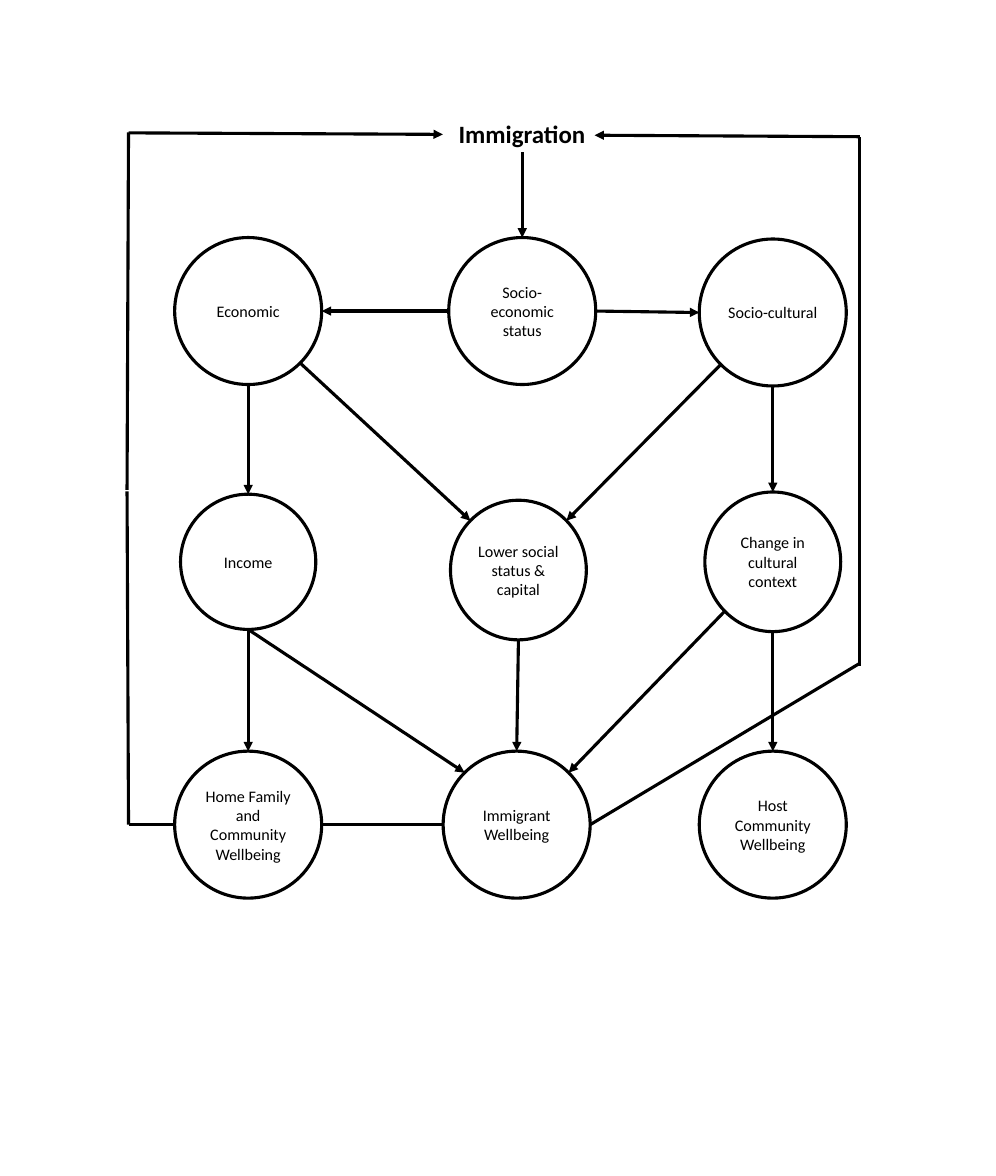
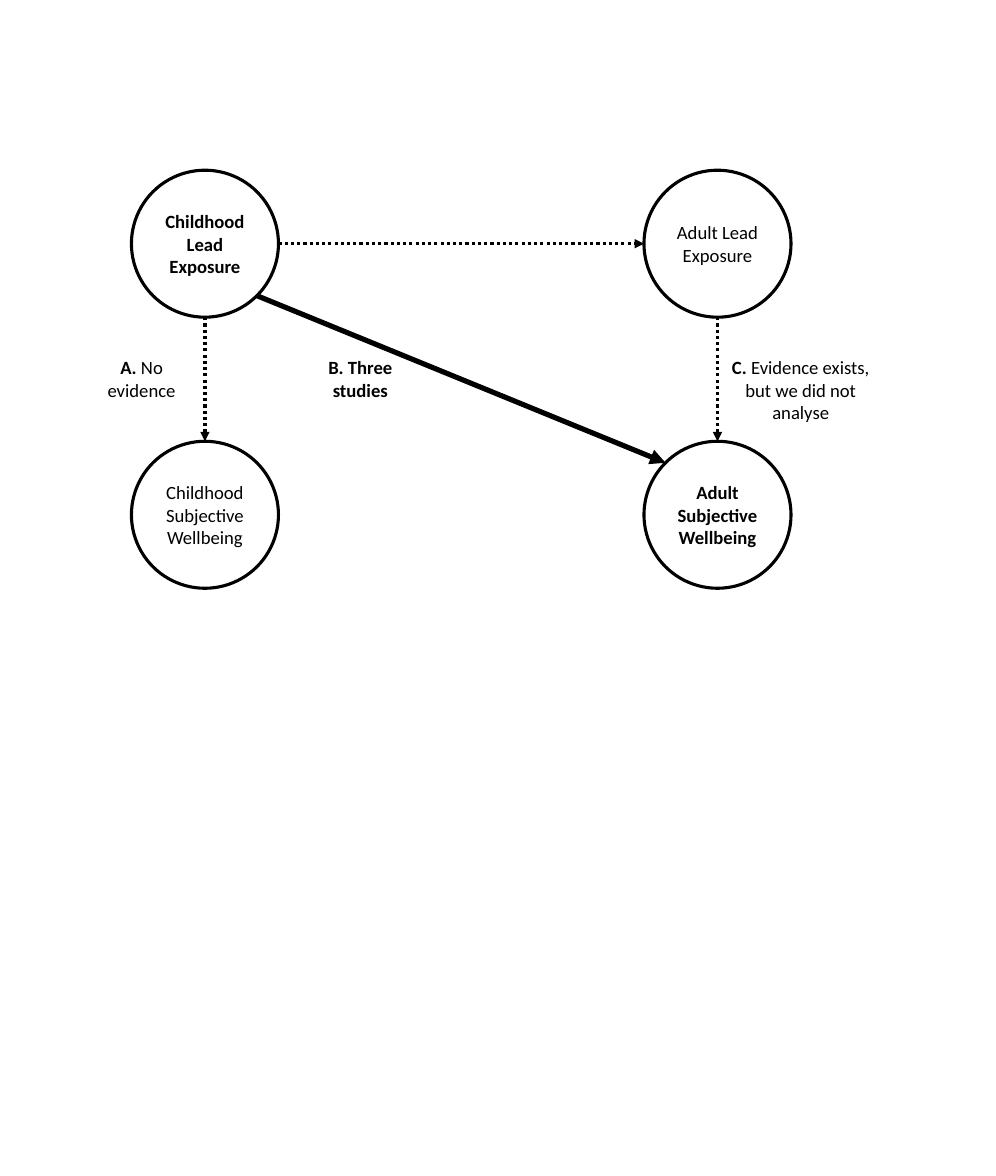
from dataclasses import dataclass
from math import sqrt

from lxml import etree
from pptx import Presentation
from pptx.dml.color import RGBColor
from pptx.enum import dml, shapes, text
from pptx.oxml.ns import qn
from pptx.util import Cm, Pt


@dataclass(frozen=True)
class Theme:
    """Colours, font and sizes that both slides share."""
    ink: RGBColor = RGBColor(0, 0, 0)
    paper: RGBColor = RGBColor(255, 255, 255)
    font: str = "Calibri"
    title: float = 24
    body: float = 18
    small: float = 15.5
    line: float = 3
    heavy: float = 5


T = Theme()
BIG, MID = (5, 5), (4.62, 4.75)
DIAG = sqrt(0.5)
SIDES = {"n": (0, -1), "s": (0, 1), "w": (-1, 0), "e": (1, 0),
         "nw": (-DIAG, -DIAG), "ne": (DIAG, -DIAG),
         "sw": (-DIAG, DIAG), "se": (DIAG, DIAG)}


def add_text(sp, words, size=T.body, bold=False, lead="", anchor=text.MSO_ANCHOR.TOP):
    """Fill a shape with centred text, after an optional bold lead-in."""
    tf = sp.text_frame
    tf.word_wrap = True
    tf.vertical_anchor = anchor
    for i, part in enumerate(words.split("\n")):
        p = tf.add_paragraph() if i else tf.paragraphs[0]
        p.alignment = text.PP_ALIGN.CENTER
        for run_text, is_bold in ((lead if i == 0 else "", True), (part, bold)):
            if run_text:
                r = p.add_run()
                r.text = run_text
                r.font.name, r.font.size = T.font, Pt(size)
                r.font.bold = is_bold
                r.font.color.rgb = T.ink


def add_line(s, start, end, arrow=True, dotted=False, width=T.line):
    """Draw a straight line between two points in centimetres."""
    c = s.shapes.add_connector(shapes.MSO_CONNECTOR.STRAIGHT,
                               *[Cm(v) for v in (*start, *end)])
    c.line.color.rgb = T.ink
    c.line.width = Pt(width)
    if dotted:
        c.line.dash_style = dml.MSO_LINE.ROUND_DOT
    if arrow:
        etree.SubElement(c.line._ln, qn("a:tailEnd"), type="triangle")
    etree.SubElement(c._element.spPr, qn("a:effectLst"))


# Circles: name -> (centre x, centre y, size, text, bold)
immigration_circles = {
    "economic": (8.44, 10.58, BIG, "Economic", False),
    "status": (17.76, 10.58, BIG, "Socio-economic status", False),
    "cultural": (26.28, 10.63, BIG, "Socio-cultural", False),
    "income": (8.44, 19.11, (4.6, 4.6), "Income", False),
    "capital": (17.63, 19.39, MID, "Lower social status & capital", False),
    "context": (26.28, 19.11, MID, "Change in cultural context", False),
    "home": (8.44, 28.05, BIG, "Home Family and Community Wellbeing", False),
    "immigrant": (17.57, 28.05, BIG, "Immigrant Wellbeing", False),
    "host": (26.28, 28.05, BIG, "Host Community Wellbeing", False),
}
lead_circles = {
    "child lead": (6.97, 8.29, BIG, "Childhood Lead Exposure", True),
    "adult lead": (24.4, 8.29, BIG, "Adult Lead Exposure", False),
    "child mood": (6.97, 17.51, BIG, "Childhood Subjective\nWellbeing", False),
    "adult mood": (24.4, 17.51, BIG, "Adult Subjective\nWellbeing", True),
}

# Lines: start, end, format; an end is a point or a (circle, side) pair
plain, dots = {"arrow": False}, {"dotted": True}
immigration_lines = [
    ((17.76, 5.18), ("status", "n"), {}),
    (("status", "w"), ("economic", "e"), {}),
    (("status", "e"), ("cultural", "w"), {}),
    (("economic", "s"), ("income", "n"), {}),
    (("economic", "se"), ("capital", "nw"), {}),
    (("cultural", "sw"), ("capital", "ne"), {}),
    (("cultural", "s"), ("context", "n"), {}),
    (("income", "s"), ("home", "n"), {}),
    (("income", "s"), ("immigrant", "nw"), {}),
    (("capital", "s"), ("immigrant", "n"), {}),
    (("context", "sw"), ("immigrant", "ne"), {}),
    (("context", "s"), ("host", "n"), {}),
    ((4.37, 28.05), ("immigrant", "w"), plain),
    ((4.32, 16.71), (4.37, 28.05), plain),
    ((4.37, 4.5), (4.32, 16.66), plain),
    ((4.37, 4.52), (15.06, 4.57), {}),
    (("immigrant", "e"), (29.24, 22.56), plain),
    ((29.24, 22.66), (29.24, 4.65), plain),
    ((29.24, 4.65), (20.22, 4.6), {}),
]
lead_lines = [
    (("child lead", "e"), ("adult lead", "w"), dots),
    (("child lead", "s"), ("child mood", "n"), dots),
    (("adult lead", "s"), ("adult mood", "n"), dots),
    (("child lead", "se"), ("adult mood", "nw"), {"width": T.heavy}),
]

# Labels: box, text, format
immigration_labels = [
    ((12.67, 3.91, 10.16, 1.27), "Immigration", {"size": T.title, "bold": True}),
]
lead_labels = [
    ((2.72, 11.99, 4.19, 1.8), "No evidence", {"lead": "A. "}),
    ((10.77, 11.99, 2.97, 1.8), "Three studies", {"lead": "B. ", "bold": True}),
    ((24.54, 11.99, 5.38, 2.57), "Evidence exists, but we did not analyse", {"lead": "C. "}),
]

prs = Presentation()
prs.slide_width, prs.slide_height = Cm(33.87), Cm(40)

for circles, lines, labels, size in (
        (immigration_circles, immigration_lines, immigration_labels, T.small),
        (lead_circles, lead_lines, lead_labels, T.body)):
    s = prs.slides.add_slide(prs.slide_layouts[6])
    sites = {(name, side): (x + dx * w / 2, y + dy * h / 2)
             for name, (x, y, (w, h), *_) in circles.items()
             for side, (dx, dy) in SIDES.items()}

    for start, end, fmt in lines:
        add_line(s, sites.get(start, start), sites.get(end, end), **fmt)

    for x, y, (w, h), words, bold in circles.values():
        sp = s.shapes.add_shape(shapes.MSO_SHAPE.OVAL,
                                Cm(x - w / 2), Cm(y - h / 2), Cm(w), Cm(h))
        sp.shadow.inherit = False
        sp.fill.solid()
        sp.fill.fore_color.rgb = T.paper
        sp.line.color.rgb = T.ink
        sp.line.width = Pt(T.line)
        add_text(sp, words, size=size, bold=bold, anchor=text.MSO_ANCHOR.MIDDLE)

    for box, words, fmt in labels:
        sp = s.shapes.add_textbox(*[Cm(v) for v in box])
        add_text(sp, words, **fmt)
        sp.text_frame.auto_size = text.MSO_AUTO_SIZE.SHAPE_TO_FIT_TEXT

prs.save("out.pptx")
